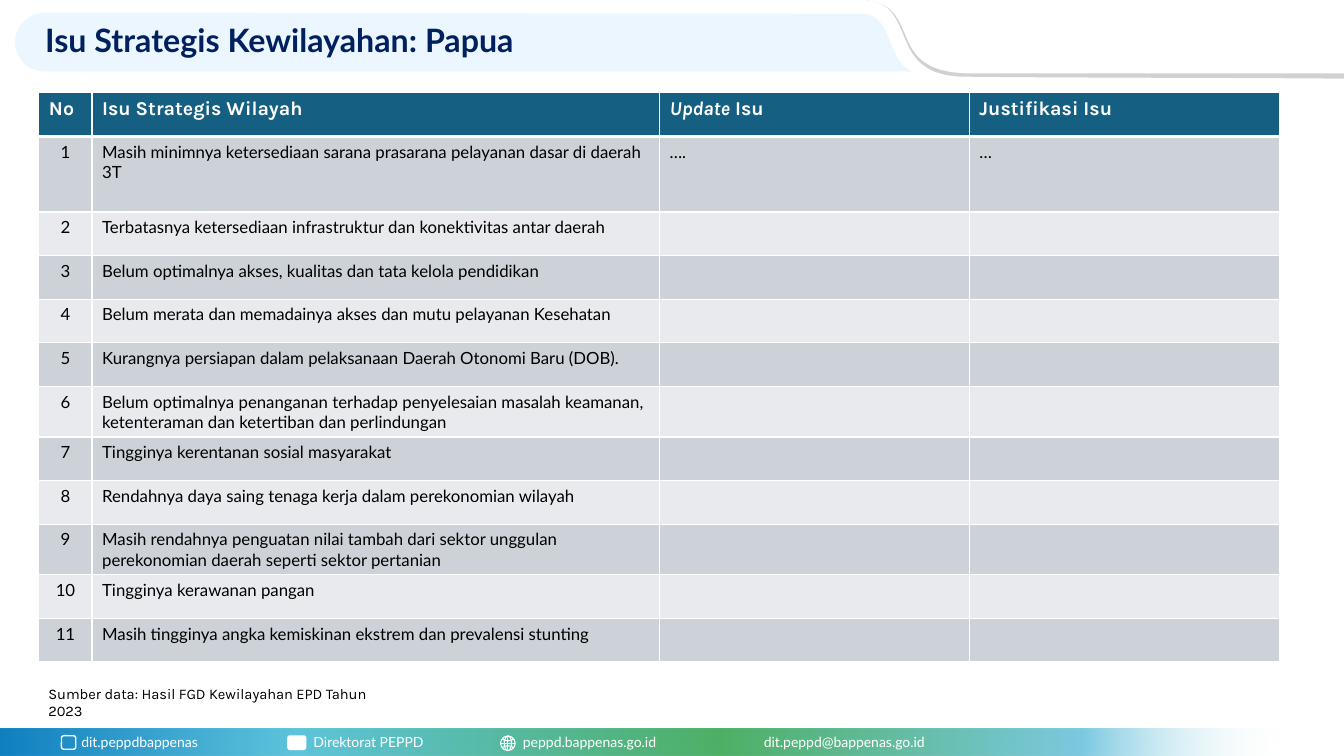
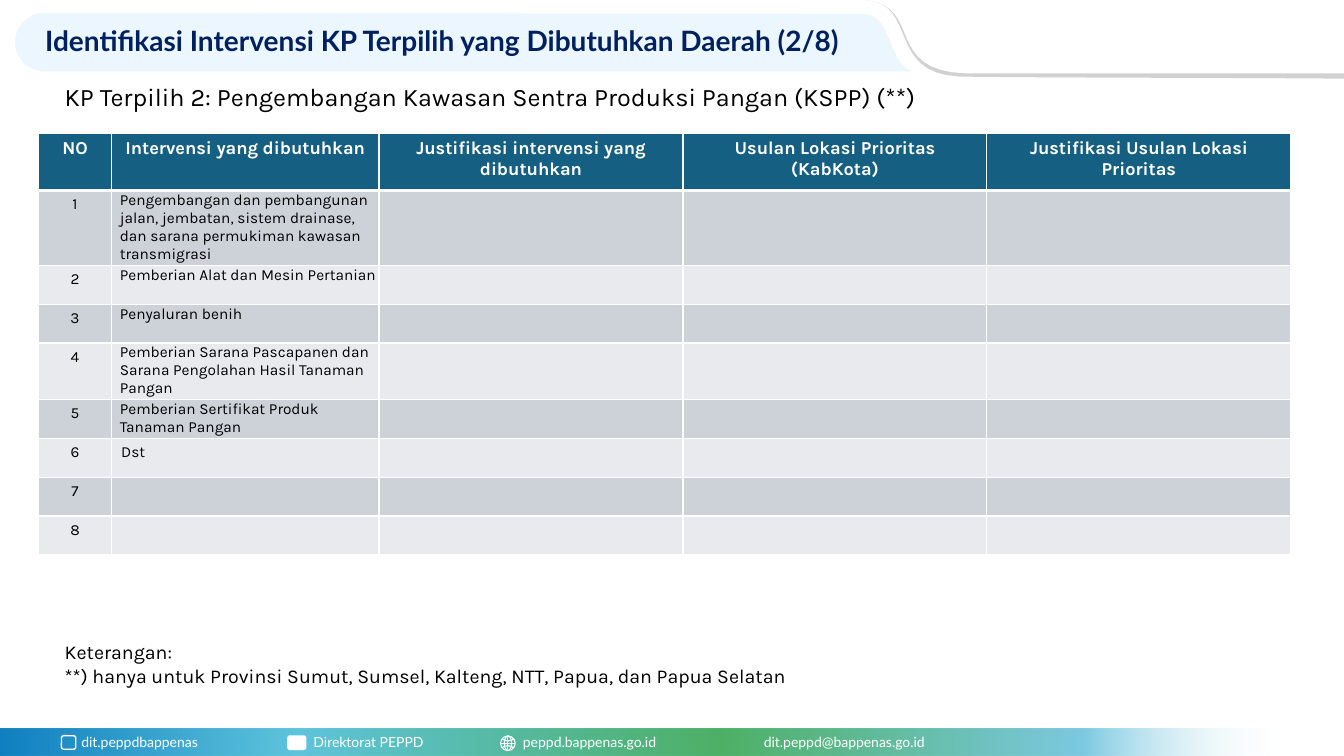
from dataclasses import dataclass

from lxml.etree import SubElement
from pptx import Presentation
from pptx.dml.color import RGBColor
from pptx.enum.shapes import MSO_CONNECTOR, MSO_SHAPE
from pptx.enum.text import MSO_ANCHOR, PP_ALIGN
from pptx.oxml.ns import qn
from pptx.util import Cm, Pt


@dataclass(frozen=True)
class Theme:
    navy: str = "002060"
    teal: str = "156082"
    band: str = "ECF6FE"
    edge: str = "D1D1D1"
    white: str = "FFFFFF"
    black: str = "000000"
    stripes: tuple = ("CCD2D8", "E8EAED")
    # position in percent, colour, opacity in percent
    footer: tuple = ((0, "0F7FC0", 100), (23, "5EC4DC", 100), (56, "4EB065", 100),
                     (84, "7BC9E1", 100), (100, "FFFFFF", 0))
    heading: str = "Lato"
    body: str = "Karla"
    contact_size: float = 10
    source_size: float = 10.5
    note_size: float = 14
    subtitle_size: float = 18


THEME = Theme()
WIDTH, HEIGHT = 33.87, 19.05
TABLE_LEFT = 0.98

CONTACTS = [(1.8, "dit.peppdbappenas"), (7.65, "Direktorat PEPPD"),
            (12.93, "peppd.bappenas.go.id"), (19, "dit.peppd@bappenas.go.id")]

# Outlines in cm: two numbers make a straight step, six make a Bézier curve.
TITLE_BAND = [(1.12, 0.33), (21.77, 0.35), (22.5, 0.38, 22.35, 1.57, 22.99, 1.8),
              (1.12, 1.8), (0.71, 1.8, 0.38, 1.47, 0.38, 1.07),
              (0.38, 0.66, 0.71, 0.33, 1.12, 0.33)]
CORNER_EDGE = [(WIDTH, 0), (WIDTH, 1.98), (33.5, 1.98),
               (30.94, 1.96, 25.88, 1.96, 24.16, 1.93),
               (22.35, 1.83, 23.14, 0.13, 21.84, 0)]
CORNER = [(WIDTH, 0), (WIDTH, 1.85), (24.33, 1.85),
          (22.28, 1.78, 23.27, 0.18, 21.84, 0)]

# Text between asterisks is italic.
ISSUE_HEADER = ["No", "Isu Strategis Wilayah", "*Update* Isu", "Justifikasi Isu"]
ISSUES = [
    ("Masih minimnya ketersediaan sarana prasarana pelayanan dasar di daerah 3T", "….", "…"),
    ("Terbatasnya ketersediaan infrastruktur dan konektivitas antar daerah",),
    ("Belum optimalnya akses, kualitas dan tata kelola pendidikan",),
    ("Belum merata dan memadainya akses dan mutu pelayanan Kesehatan",),
    ("Kurangnya persiapan dalam pelaksanaan Daerah Otonomi Baru (DOB).",),
    ("Belum optimalnya penanganan terhadap penyelesaian masalah keamanan, "
     "ketenteraman dan ketertiban dan perlindungan",),
    ("Tingginya kerentanan sosial masyarakat",),
    ("Rendahnya daya saing tenaga kerja dalam perekonomian wilayah",),
    ("Masih rendahnya penguatan nilai tambah dari sektor unggulan "
     "perekonomian daerah seperti sektor pertanian",),
    ("Tingginya kerawanan pangan",),
    ("Masih tingginya angka kemiskinan ekstrem dan prevalensi stunting",),
]
SOURCE = ["Sumber data: Hasil FGD Kewilayahan EPD Tahun 2023"]

INTERVENTION_HEADER = ["NO", "Intervensi yang dibutuhkan", "Justifikasi intervensi yang dibutuhkan",
                       "Usulan Lokasi Prioritas (KabKota)", "Justifikasi Usulan Lokasi Prioritas"]
INTERVENTIONS = [
    ("Pengembangan dan pembangunan jalan, jembatan, sistem drainase, "
     "dan sarana permukiman kawasan transmigrasi",),
    ("Pemberian Alat dan Mesin Pertanian",),
    ("Penyaluran benih",),
    ("Pemberian Sarana Pascapanen dan Sarana Pengolahan Hasil Tanaman Pangan",),
    ("Pemberian Sertifikat Produk Tanaman Pangan",),
    ("Dst",),
    (),
    (),
]
SUBTITLE = ["KP Terpilih 2: Pengembangan Kawasan Sentra Produksi Pangan (KSPP) (**)"]
NOTES = ["Keterangan:",
         "**) hanya untuk Provinsi Sumut, Sumsel, Kalteng, NTT, Papua, dan Papua Selatan"]


def rgb(colour):
    return RGBColor.from_string(colour)


def style(font, name, size, colour, bold=False):
    font.name, font.size, font.bold = name, Pt(size), bold
    font.color.rgb = rgb(colour)


def paint(shape, fill=None, line=None, weight=1):
    shape.shadow.inherit = False
    if fill:
        shape.fill.solid()
        shape.fill.fore_color.rgb = rgb(fill)
    else:
        shape.fill.background()
    if line:
        shape.line.color.rgb = rgb(line)
        shape.line.width = Pt(weight)
    else:
        shape.line.fill.background()
    return shape


def add_preset(slide, preset, box, **look):
    return paint(slide.shapes.add_shape(preset, *map(Cm, box)), **look)


def add_outline(slide, steps, fill, samples=16):
    points = [steps[0]]
    for step in steps[1:]:
        if len(step) == 2:
            points.append(step)
            continue
        curve = [points[-1], step[:2], step[2:4], step[4:]]
        for i in range(1, samples + 1):
            t = i / samples
            weights = (1 - t) ** 3, 3 * t * (1 - t) ** 2, 3 * t * t * (1 - t), t ** 3
            points.append(tuple(sum(w * p[axis] for w, p in zip(weights, curve))
                                for axis in (0, 1)))
    start, *rest = [(Cm(x), Cm(y)) for x, y in points]
    builder = slide.shapes.build_freeform(*start)
    builder.add_line_segments(rest, close=True)
    paint(builder.convert_to_shape(), fill=fill)


def add_text(slide, box, lines, font, size, colour, bold=False,
             anchor=MSO_ANCHOR.TOP, spacing=None):
    frame = slide.shapes.add_textbox(*map(Cm, box)).text_frame
    frame.word_wrap = True
    frame.vertical_anchor = anchor
    frame.text = "\n".join(lines)
    for paragraph in frame.paragraphs:
        paragraph.line_spacing = spacing
        style(paragraph.font, font, size, colour, bold)


def add_footer_bar(slide):
    bar = add_preset(slide, MSO_SHAPE.RECTANGLE, (0, 18.36, 32.44, HEIGHT - 18.36))
    bar.fill.gradient()
    bar.fill.gradient_angle = 0
    stops = bar._element.spPr.find(qn("a:gradFill")).find(qn("a:gsLst"))
    for stop in list(stops):
        stops.remove(stop)
    for position, colour, opacity in THEME.footer:
        stop = SubElement(stops, qn("a:gs"), pos=str(position * 1000))
        tint = SubElement(stop, qn("a:srgbClr"), val=colour)
        if opacity < 100:
            SubElement(tint, qn("a:alpha"), val=str(opacity * 1000))


def add_globe(slide, x, y, diameter):
    """Draw the web icon centred on x, y."""
    radius = diameter / 2
    pen = dict(line=THEME.white, weight=0.75)
    for width in (diameter, diameter / 2):
        add_preset(slide, MSO_SHAPE.OVAL, (x - width / 2, y - radius, width, diameter), **pen)
    arc_width = 0.25
    for side, turn in ((1, 270), (-1, 90)):
        arc = add_preset(slide, MSO_SHAPE.ARC,
                         (x - arc_width / 2, y + (side - 1) * radius, arc_width, diameter), **pen)
        arc.adjustments[0], arc.adjustments[1] = 179.02, 37.2
        arc.rotation = turn
    for dx, dy in ((radius, 0), (0, radius)):
        axis = slide.shapes.add_connector(MSO_CONNECTOR.STRAIGHT, Cm(x - dx), Cm(y - dy),
                                          Cm(x + dx), Cm(y + dy))
        axis.line.color.rgb = rgb(THEME.white)
        axis.line.width = Pt(0.75)
        SubElement(axis._element.spPr, qn("a:effectLst"))


def add_framed_slide(deck, title, title_size):
    """Add a slide with the title band, corner and footer that all slides share."""
    slide = deck.slides.add_slide(deck.slide_layouts[6])
    add_outline(slide, TITLE_BAND, THEME.band)
    add_outline(slide, CORNER_EDGE, THEME.edge)
    add_outline(slide, CORNER, THEME.white)
    add_footer_bar(slide)
    add_preset(slide, MSO_SHAPE.ROUNDED_RECTANGLE, (1.55, 18.54, 0.36, 0.34), line=THEME.white)
    add_preset(slide, MSO_SHAPE.ROUNDED_RECTANGLE, (7.24, 18.53, 0.48, 0.37), fill=THEME.white)
    add_globe(slide, 12.8, 18.73, 0.37)
    for left, contact in CONTACTS:
        add_text(slide, (left, 18.36, 6.2, 0.68), [contact],
                 THEME.heading, THEME.contact_size, THEME.white)
    add_text(slide, (0.89, 0.46, 21.7, 1.22), [title], THEME.heading, title_size,
             THEME.navy, bold=True, anchor=MSO_ANCHOR.MIDDLE, spacing=0.9)
    return slide


def set_borders(cell, bottom):
    properties = cell._tc.get_or_add_tcPr()
    for side, weight in (("L", 1), ("R", 1), ("T", 1), ("B", bottom)):
        line = SubElement(properties, qn(f"a:ln{side}"), w=str(Pt(weight)))
        SubElement(SubElement(line, qn("a:solidFill")), qn("a:srgbClr"), val=THEME.white)


def fill_cell(cell, text, fill, align, bottom, **look):
    set_borders(cell, bottom)
    cell.fill.solid()
    cell.fill.fore_color.rgb = rgb(fill)
    paragraph = cell.text_frame.paragraphs[0]
    paragraph.alignment = align
    style(paragraph.font, **look)
    for i, part in enumerate(text.split("*")):
        if part:
            run = paragraph.add_run()
            run.text = part
            if i % 2:
                run.font.italic = True


def add_numbered_table(slide, top, widths, heights, header, rows,
                       header_align, header_size, body_font, body_size):
    table = slide.shapes.add_table(len(heights), len(widths), Cm(TABLE_LEFT), Cm(top),
                                   Cm(sum(widths)), Cm(sum(heights))).table
    for column, width in zip(table.columns, widths):
        column.width = Cm(width)
    for row, height in zip(table.rows, heights):
        row.height = Cm(height)
    for c, label in enumerate(header):
        fill_cell(table.cell(0, c), label, THEME.teal, header_align, 3,
                  name=THEME.body, size=header_size, colour=THEME.white, bold=True)
    for r, entries in enumerate(rows, 1):
        texts = [str(r), *entries]
        texts += [""] * (len(widths) - len(texts))
        for c, text in enumerate(texts):
            fill_cell(table.cell(r, c), text, THEME.stripes[(r - 1) % 2],
                      PP_ALIGN.LEFT if c else PP_ALIGN.CENTER, 1,
                      name=body_font, size=body_size, colour=THEME.black)
    return table


def build_issues(deck):
    slide = add_framed_slide(deck, "Isu Strategis Kewilayahan: Papua", 23)
    add_text(slide, (0.97, 17.12, 9.25, 0.71), SOURCE,
             THEME.body, THEME.source_size, THEME.black)
    add_numbered_table(slide, 2.34, [1.34, 14.3, 7.81, 7.81], [1.1, 1.9] + [1.1] * 10,
                       ISSUE_HEADER, ISSUES, PP_ALIGN.LEFT, 14, THEME.heading, 12)


def build_interventions(deck):
    slide = add_framed_slide(
        deck, "Identifikasi Intervensi KP Terpilih yang Dibutuhkan Daerah (2/8)", 20)
    table = add_numbered_table(slide, 3.35, [1.82, 6.75] + [7.66] * 3,
                               [1.45, 1.47, 0.98, 0.98, 1.12] + [0.98] * 4,
                               INTERVENTION_HEADER, INTERVENTIONS,
                               PP_ALIGN.CENTER, 13, THEME.body, 11)
    for r in range(1, 6):
        cell = table.cell(r, 1)
        cell.margin_left, cell.margin_right = Cm(0.22), Cm(0.02)
        cell.margin_top, cell.margin_bottom = Cm(0.02), 0
    add_text(slide, (1.38, 1.93, 22.07, 1.03), SUBTITLE,
             THEME.body, THEME.subtitle_size, THEME.black)
    add_text(slide, (1.38, 16, 24.26, 1.45), NOTES,
             THEME.body, THEME.note_size, THEME.black)


def main():
    deck = Presentation()
    deck.slide_width, deck.slide_height = Cm(WIDTH), Cm(HEIGHT)
    build_issues(deck)
    build_interventions(deck)
    deck.save("out.pptx")


if __name__ == "__main__":
    main()
